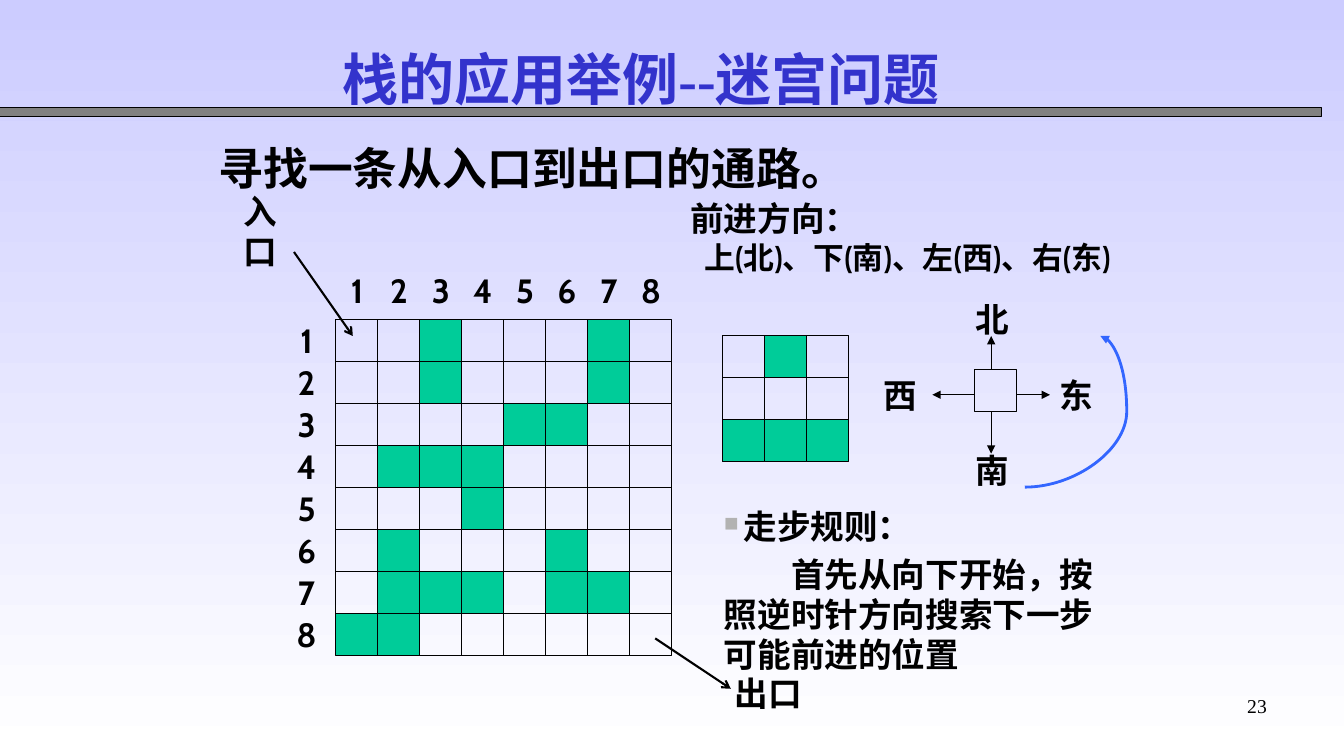
from dataclasses import dataclass

from lxml import etree
from pptx import Presentation
from pptx.dml.color import RGBColor
from pptx.enum import shapes, text
from pptx.oxml import ns
from pptx.util import Pt

BLACK = RGBColor(0x00, 0x00, 0x00)
GREY = RGBColor(0x80, 0x80, 0x80)
WALL_GREEN = RGBColor(0x00, 0xCC, 0x99)
TITLE_BLUE = RGBColor(0x33, 0x33, 0xCC)
TURN_BLUE = RGBColor(0x33, 0x66, 0xFF)
SKY = RGBColor(0xCC, 0xCC, 0xFF)
WHITE = RGBColor(0xFF, 0xFF, 0xFF)
BULLET_GREY = "B2B2B2"

CELL = 30
MAZE_LEFT, MAZE_TOP = 240, 228
MAZE = (
    "..#...#.",
    "..#...#.",
    "....##..",
    ".###....",
    "...#....",
    ".#...#..",
    ".###.##.",
    "##......",
)
SAMPLE = (".#.", "...", "###")


@dataclass(frozen=True)
class Arrow:
    start: tuple[float, float]
    end: tuple[float, float]
    width: float = 0.75
    head: str = "triangle"
    color: RGBColor = BLACK
    kind: shapes.MSO_CONNECTOR = shapes.MSO_CONNECTOR.STRAIGHT


@dataclass(frozen=True)
class Direction:
    name: str
    left: float
    top: float
    arrow: Arrow


@dataclass(frozen=True)
class Gate:
    name: str
    left: float
    top: float
    width: float
    arrow: Arrow


DIRECTIONS = (
    Direction("北", 690, 210, Arrow((708, 264), (708, 240))),
    Direction("南", 690, 318, Arrow((708, 294), (708, 324))),
    Direction("西", 624, 264, Arrow((696, 282), (666, 282))),
    Direction("东", 750, 264, Arrow((726, 282), (750, 282))),
)
GATES = (
    Gate("入口", 156, 150, 60, Arrow((210, 180), (252, 240), 1.5, "arrow")),
    Gate("出口", 516, 480, 66, Arrow((468, 456), (522, 492), 1.5, "arrow")),
)
TURN = Arrow((732, 348), (786, 240), 2, "triangle", TURN_BLUE, shapes.MSO_CONNECTOR.CURVE)


def add_rect(group, left: float, top: float, width: float, height: float,
             fill: RGBColor | None = None):
    rect = group.shapes.add_shape(shapes.MSO_SHAPE.RECTANGLE,
                                  Pt(left), Pt(top), Pt(width), Pt(height))
    rect.shadow.inherit = False
    if fill is None:
        rect.fill.background()
    else:
        rect.fill.solid()
        rect.fill.fore_color.rgb = fill
    rect.line.color.rgb = BLACK
    rect.line.width = Pt(0.75)


def add_grid(group, rows: tuple[str, ...], left: float, top: float) -> None:
    """Draw one square per character; # marks a wall."""
    for row, marks in enumerate(rows):
        for column, mark in enumerate(marks):
            add_rect(group, left + column * CELL, top + row * CELL, CELL, CELL,
                     WALL_GREEN if mark == "#" else None)


def add_arrow(group, arrow: Arrow):
    line = group.shapes.add_connector(arrow.kind, *map(Pt, arrow.start + arrow.end))
    line.line.color.rgb = arrow.color
    line.line.width = Pt(arrow.width)
    etree.SubElement(line.line._get_or_add_ln(), ns.qn("a:tailEnd"), type=arrow.head)
    etree.SubElement(line._element.spPr, ns.qn("a:effectLst"))
    return line


def write(para, words: str, *, size: float = 24, font: str = "Cabin",
          color: RGBColor = BLACK, bold: bool = True, align=text.PP_ALIGN.LEFT,
          margin: float = 0, indent: float = 0, before: float = 0,
          bullet: str = "") -> None:
    para.alignment = align
    para.space_before = Pt(before)
    props = para._p.get_or_add_pPr()
    props.set("marL", str(Pt(margin)))
    props.set("indent", str(Pt(indent)))
    if bullet:
        tint = etree.SubElement(props, ns.qn("a:buClr"))
        etree.SubElement(tint, ns.qn("a:srgbClr"), val=BULLET_GREY)
        etree.SubElement(props, ns.qn("a:buSzPct"), val="60000")
        etree.SubElement(props, ns.qn("a:buChar"), char=bullet)
    span = para.add_run()
    span.text = words
    span.font.size = Pt(size)
    span.font.name = font
    span.font.bold = bold
    span.font.color.rgb = color


def add_text(group, words: str, left: float, top: float, width: float, height: float,
             *, wrap: bool = True, middle: bool = False, **style):
    """Add a text box with one paragraph and return its frame."""
    box = group.shapes.add_textbox(Pt(left), Pt(top), Pt(width), Pt(height))
    frame = box.text_frame
    frame.word_wrap = wrap
    frame.vertical_anchor = text.MSO_ANCHOR.MIDDLE if middle else text.MSO_ANCHOR.TOP
    write(frame.paragraphs[0], words, **style)
    return frame


def add_label(group, words: str, left: float, top: float, width: float = CELL) -> None:
    add_text(group, words, left, top, width, CELL, wrap=False, middle=True,
             align=text.PP_ALIGN.CENTER)


def add_maze(page) -> None:
    maze = page.shapes.add_group_shape()
    add_grid(maze, MAZE, MAZE_LEFT, MAZE_TOP)
    for index in range(len(MAZE)):
        number = str(index + 1)
        add_label(maze, number, MAZE_LEFT + index * CELL, MAZE_TOP - 36)
        add_label(maze, number, MAZE_LEFT - 36, MAZE_TOP + index * CELL)
    for gate in GATES:
        group = page.shapes.add_group_shape()
        add_label(group, gate.name, gate.left, gate.top, gate.width)
        add_arrow(group, gate.arrow)


def add_compass(page) -> None:
    compass = page.shapes.add_group_shape()
    for direction in DIRECTIONS:
        add_text(compass, direction.name, direction.left, direction.top, 42, 36)
        add_arrow(compass, direction.arrow)
    add_rect(compass, 696, 264, CELL, CELL)
    turn = add_arrow(page, TURN)
    guides = turn._element.spPr.find(ns.qn("a:prstGeom")).get_or_add_avLst()
    etree.SubElement(guides, ns.qn("a:gd"), name="adj1", fmla="val 134900")


def main() -> None:
    deck = Presentation()
    deck.slide_width, deck.slide_height = Pt(960), Pt(540)
    page = deck.slides.add_slide(deck.slide_layouts[6])
    backdrop = page.background.fill
    backdrop.gradient()
    backdrop.gradient_angle = 270
    for stop, color in zip(backdrop.gradient_stops, (SKY, WHITE)):
        stop.color.rgb = color
        stop.position = 0 if color == SKY else 1

    add_rect(page, 0, 77, 944, 6, GREY)
    add_text(page, "23", 688, 492, 224, 37, size=14, font="Times New Roman",
             bold=False, align=text.PP_ALIGN.RIGHT)
    add_text(page, "寻找一条从入口到出口的通路。", 149, 97, 612, 35, size=32,
             font="Times New Roman")
    add_maze(page)

    ways = add_text(page, "前进方向：", 486, 138, 354, 63)
    write(ways.add_paragraph(), "上(北)、下(南)、左(西)、右(东)", size=22, indent=10)
    add_compass(page)
    add_grid(page.shapes.add_group_shape(), SAMPLE, 516, 240)

    rules = add_text(page, "走步规则：", 510, 358, 282, 130, margin=14, indent=-14,
                     bullet="■")
    write(rules.add_paragraph(), "首先从向下开始，按照逆时针方向搜索下一步可能前进的位置",
          indent=48, before=5)
    add_text(page, "栈的应用举例--迷宫问题", 152, 44, 612, 24, size=40, middle=True,
             font="Times New Roman", color=TITLE_BLUE, align=text.PP_ALIGN.CENTER)
    deck.save("out.pptx")


if __name__ == "__main__":
    main()
